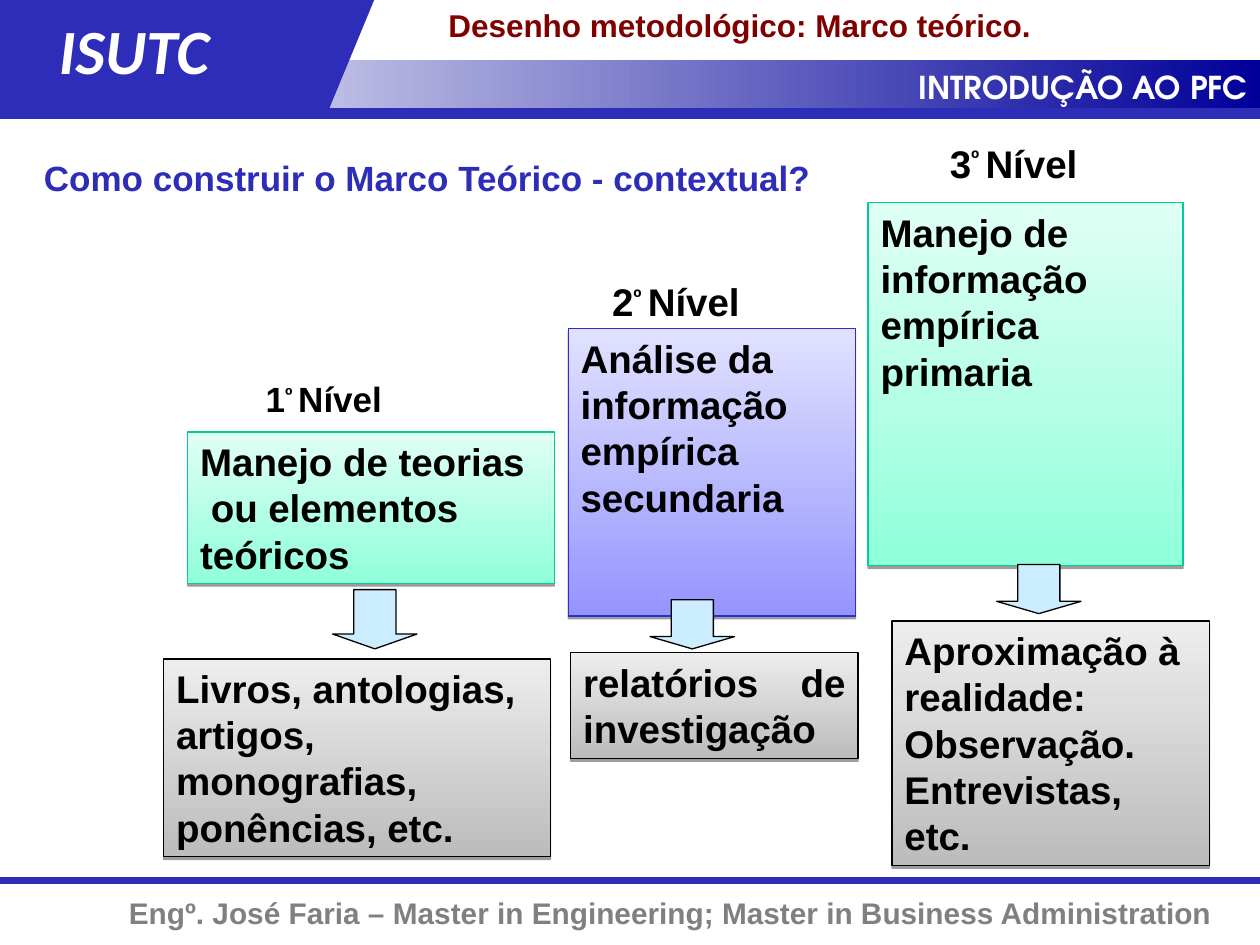
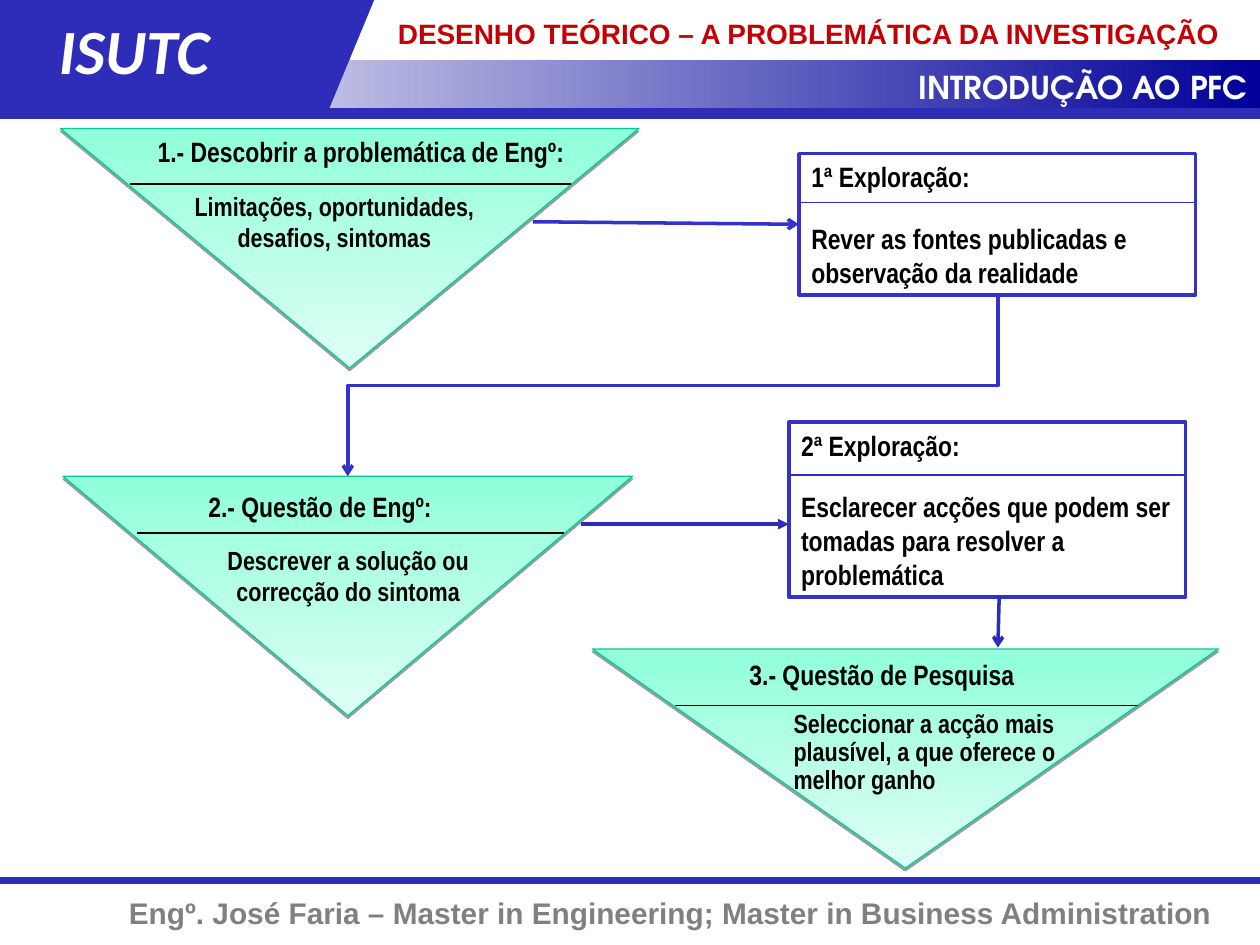
from pptx import Presentation
from pptx.dml.color import RGBColor
from pptx.enum.shapes import MSO_CONNECTOR as Link, MSO_SHAPE as Preset
from pptx.enum.text import MSO_ANCHOR as Anchor, PP_ALIGN as Align
from pptx.oxml.ns import qn
from pptx.util import Inches, Pt
from lxml.etree import SubElement

COLUMNS, ROWS = 100, 75
CELL = Inches(10) / COLUMNS

COLOURS = {
    "brand": "2D2DB9", "navy": "000099", "white": "FFFFFF", "black": "000000",
    "grey": "808080", "maroon": "800000", "red": "C40005", "sky": "CCECFF",
    "frame": "3333CC", "violet": "2E2ECB", "green": "00CC98",
}
GRADIENTS = {
    "green": ("90FFDA", "E0FFF4"), "violet": ("9595FF", "E1E1FF"),
    "black": ("BCBCBC", "EDEDED"), "band": ("FFFFFF", "000099"),
}

BRAND = "ISUTC"
COURSE = "INTRODUÇÃO AO PFC"
AUTHOR = "Engº. José Faria – Master in Engineering; Master in Business Administration"

LEVELS_TITLE = "Desenho metodológico: Marco teórico."
LEVELS_QUESTION = "Como construir o Marco Teórico - contextual?"
LEVELS = [
    {"number": "1", "size": 20, "label": (20.1, 29.5, 19.1, 4.4),
     "task": "Manejo de teorias\n ou elementos teóricos", "tone": "green",
     "task_at": (14.9, 34.3, 29.1, 12), "arrow": (26.4, 46.8, 6.7, 4.7),
     "source": "Livros, antologias, artigos, monografias, ponências, etc.",
     "source_at": (13, 52.3, 30.7, 15.7), "align": Align.LEFT},
    {"number": "2", "size": 22, "label": (47.6, 21.6, 15.7, 4.7),
     "task": "Análise da informação empírica secundaria", "tone": "violet",
     "task_at": (45.1, 26.1, 22.8, 22.8), "arrow": (51.6, 47.6, 6.7, 3.9),
     "source": "relatórios de investigação",
     "source_at": (45.3, 51.8, 22.8, 8.4), "align": Align.JUSTIFY},
    {"number": "3", "size": 22, "label": (74.4, 10.6, 15, 4.7),
     "task": "Manejo de informação empírica primaria", "tone": "green",
     "task_at": (68.9, 16.1, 25, 28.8), "arrow": (79.1, 44.8, 6.7, 3.9),
     "source": "Aproximação à realidade: Observação. Entrevistas, etc.",
     "source_at": (70.8, 49.3, 25.2, 19.4), "align": Align.LEFT},
]

STEPS_TITLE = "DESENHO TEÓRICO – A PROBLEMÁTICA DA INVESTIGAÇÃO"
STEPS = [
    {"at": (4.8, 10.2, 45.9, 19), "divider": (10.3, 45.3, 14.6),
     "head": "1.- Descobrir a problemática de Engº:",
     "head_at": (7.8, 10.2, 41.7, 3.7), "head_align": Align.CENTER,
     "body": "Limitações, oportunidades, desafios, sintomas",
     "body_at": (10.8, 14.6, 31.5, 6), "body_align": Align.CENTER, "spacing": 1},
    {"at": (5, 37.8, 45.2, 19), "divider": (10.9, 44.8, 42.3),
     "head": "2.- Questão de Engº:",
     "head_at": (12.8, 38.4, 25.2, 3.7), "head_align": Align.CENTER,
     "body": "Descrever a solução ou correcção do sintoma",
     "body_at": (13, 42.7, 29.3, 6), "body_align": Align.CENTER, "spacing": 1},
    {"at": (47, 51.5, 49.7, 17.4), "divider": (53.6, 90.3, 56),
     "head": "3.- Questão de Pesquisa",
     "head_at": (58.5, 51.7, 30.7, 3.7), "head_align": Align.LEFT,
     "body": "Seleccionar a acção mais plausível, a que oferece o melhor ganho",
     "body_at": (62, 55.9, 25.1, 7.8), "body_align": Align.LEFT, "spacing": 0.9},
]
EXPLORATIONS = [
    {"at": (63.4, 12.2, 31.5, 11.2), "divider": 16.1,
     "texts": ["1ª Exploração:", "Rever as fontes publicadas e observação da realidade"]},
    {"at": (62.6, 33.5, 31.5, 13.9), "divider": 37.7,
     "texts": ["2ª Exploração:",
               "Esclarecer acções que podem ser tomadas para resolver a problemática"]},
]


def rgb(name):
    """Look up a colour by name, or take it as hex."""
    return RGBColor.from_string(COLOURS.get(name, name))


def grid(*lengths):
    """Turn grid lengths into slide units."""
    return [round(length * CELL) for length in lengths]


def write(shape, texts, size, colour="black", font="Arial", align=Align.LEFT,
          italic=False, spacing=None, gap=0):
    """Fill a shape with bold paragraphs, each a string or a list of (text, raised)."""
    frame = shape.text_frame
    frame.word_wrap = True
    frame.vertical_anchor = Anchor.TOP
    for index, text in enumerate(texts):
        para = frame.add_paragraph() if index else frame.paragraphs[0]
        para.alignment = align
        para.line_spacing = spacing
        para.space_before = Pt(gap if index else 0)
        for part, raised in ([(text, False)] if isinstance(text, str) else text):
            for row, words in enumerate(part.split("\n")):
                if row:
                    para.add_line_break()
                span = para.add_run()
                span.text = words
                span.font.size, span.font.name = Pt(size), font
                span.font.bold, span.font.italic = True, italic
                span.font.color.rgb = rgb(colour)
                if raised:
                    span.font._element.set("baseline", "30000")


def add_text(page, at, text, size, **style):
    """Add a text box holding one paragraph."""
    write(page.shapes.add_textbox(*grid(*at)), [text], size, **style)


def add_box(page, preset, at, fill=None, line=None, width=0.75):
    """Add a plain preset shape."""
    box = page.shapes.add_shape(preset, *grid(*at))
    box.shadow.inherit = False
    if fill:
        box.fill.solid()
        box.fill.fore_color.rgb = rgb(fill)
    if line:
        box.line.color.rgb = rgb(line)
        box.line.width = Pt(width)
    else:
        box.line.fill.background()
    return box


def shade(box, tone, angle=90):
    """Give a shape a two-colour gradient."""
    box.fill.gradient()
    box.fill.gradient_angle = angle
    for stop, colour in zip(box.fill.gradient_stops, GRADIENTS[tone]):
        stop.color.rgb = rgb(colour)


def add_raised(page, preset, at, tone):
    """Add a gradient shape with a thin shadow below."""
    box = add_box(page, preset, at, line=tone)
    shade(box, tone)
    effects = box._element.spPr.find(qn("a:effectLst"))
    shadow = SubElement(effects, qn("a:outerShdw"), blurRad="0", dist="20000",
                        dir="5400000", rotWithShape="0")
    tint = SubElement(shadow, qn("a:srgbClr"), val=COLOURS["black"])
    SubElement(tint, qn("a:alpha"), val="38000")
    return box


def add_line(page, start, end, colour, width=0.75, head=None, kind=Link.STRAIGHT):
    """Add a connector, with an arrowhead at its end if asked."""
    line = page.shapes.add_connector(kind, *grid(*start, *end))
    line.line.color.rgb = rgb(colour)
    line.line.width = Pt(width)
    if head:
        SubElement(line.line._get_or_add_ln(), qn("a:tailEnd"), type=head)
    SubElement(line._element.spPr, qn("a:effectLst"))
    return line


def add_page(deck):
    """Add a blank page with the shared header and footer."""
    page = deck.slides.add_slide(deck.slide_layouts[6])
    add_line(page, (0, 69.9), (COLUMNS, 69.9), "brand", 4)
    add_text(page, (0, 70.5, 97.2, 3.9), AUTHOR, 17, colour="grey", align=Align.RIGHT)
    shade(add_box(page, Preset.RECTANGLE, (0, 4.8, COLUMNS, 3.9)), "band", 0)
    add_box(page, Preset.FLOWCHART_DATA, (11.7, 0, 18, 8.7), "brand")
    add_box(page, Preset.RECTANGLE, (0, 0, 15.9, 8.7), "brand")
    add_text(page, (43.6, 4.9, 56.4, 4), COURSE, 18, colour="white",
             font="TeX Gyre Adventor", align=Align.RIGHT)
    add_text(page, (3.7, 0.4, 19.3, 7), BRAND, 36, colour="white",
             font="Calibri", italic=True)
    add_line(page, (0, 9), (COLUMNS, 9), "brand", 6)
    return page


def build_levels(deck):
    """Build the three levels of the theoretical framework."""
    page = add_page(deck)
    question = add_box(page, Preset.RECTANGLE, (2.5, 11.9, 64.6, 4.4), "white", "white", 2)
    write(question, [LEVELS_QUESTION], 20, "brand")
    for level in LEVELS:
        label = [(level["number"], False), ("º ", True), ("Nível", False)]
        add_text(page, level["label"], label, level["size"])
        task = add_raised(page, Preset.RECTANGLE, level["task_at"], level["tone"])
        write(task, [level["task"]], 22)
        source = add_raised(page, Preset.RECTANGLE, level["source_at"], "black")
        write(source, [level["source"]], 22, align=level["align"])
        arrow = add_box(page, Preset.DOWN_ARROW, level["arrow"], "sky", "black")
        arrow.adjustments[0], arrow.adjustments[1] = 0.5, 0.25
    add_text(page, (34.6, 0, 50.4, 4), LEVELS_TITLE, 18, colour="maroon")


def build_steps(deck):
    """Build the path from the problem to the research question."""
    page = add_page(deck)
    narrow = {"font": "Arial Narrow"}
    for step in STEPS:
        add_raised(page, Preset.ISOSCELES_TRIANGLE, step["at"], "green").rotation = 180
        add_text(page, step["head_at"], step["head"], 16, align=step["head_align"], **narrow)
        add_text(page, step["body_at"], step["body"], 15, align=step["body_align"],
                 spacing=step["spacing"], **narrow)
        left, right, row = step["divider"]
        add_line(page, (left, row), (right, row), "black")
    boxes = []
    for exploration in EXPLORATIONS:
        box = add_box(page, Preset.RECTANGLE, exploration["at"], "white", "frame", 2)
        write(box, exploration["texts"], 16, gap=16, **narrow)
        left, _, width, _ = exploration["at"]
        row = exploration["divider"]
        add_line(page, (left, row), (left + width, row), "violet")
        boxes.append(box)
    to_first = add_line(page, (42.3, 17.6), (63.4, 17.8), "frame", 2, "arrow")
    to_first.end_connect(boxes[0], 1)
    add_line(page, (46.1, 41.6), (62.6, 41.6), "brand", 2, "triangle")
    add_line(page, (79.3, 47.4), (79.2, 51.4), "brand", 2, "arrow")
    back = add_line(page, (46.2, 4.8), (60.6, 56.4), "frame", 2, "arrow", Link.ELBOW)
    back._element.spPr.find(qn("a:xfrm")).set("rot", "5400000")
    add_text(page, (30.6, 0.8, 69.4, 4.8), STEPS_TITLE, 16, colour="red")


def main():
    """Build and save the deck."""
    deck = Presentation()
    deck.slide_width, deck.slide_height = grid(COLUMNS, ROWS)
    build_levels(deck)
    build_steps(deck)
    deck.save("out.pptx")


if __name__ == "__main__":
    main()
